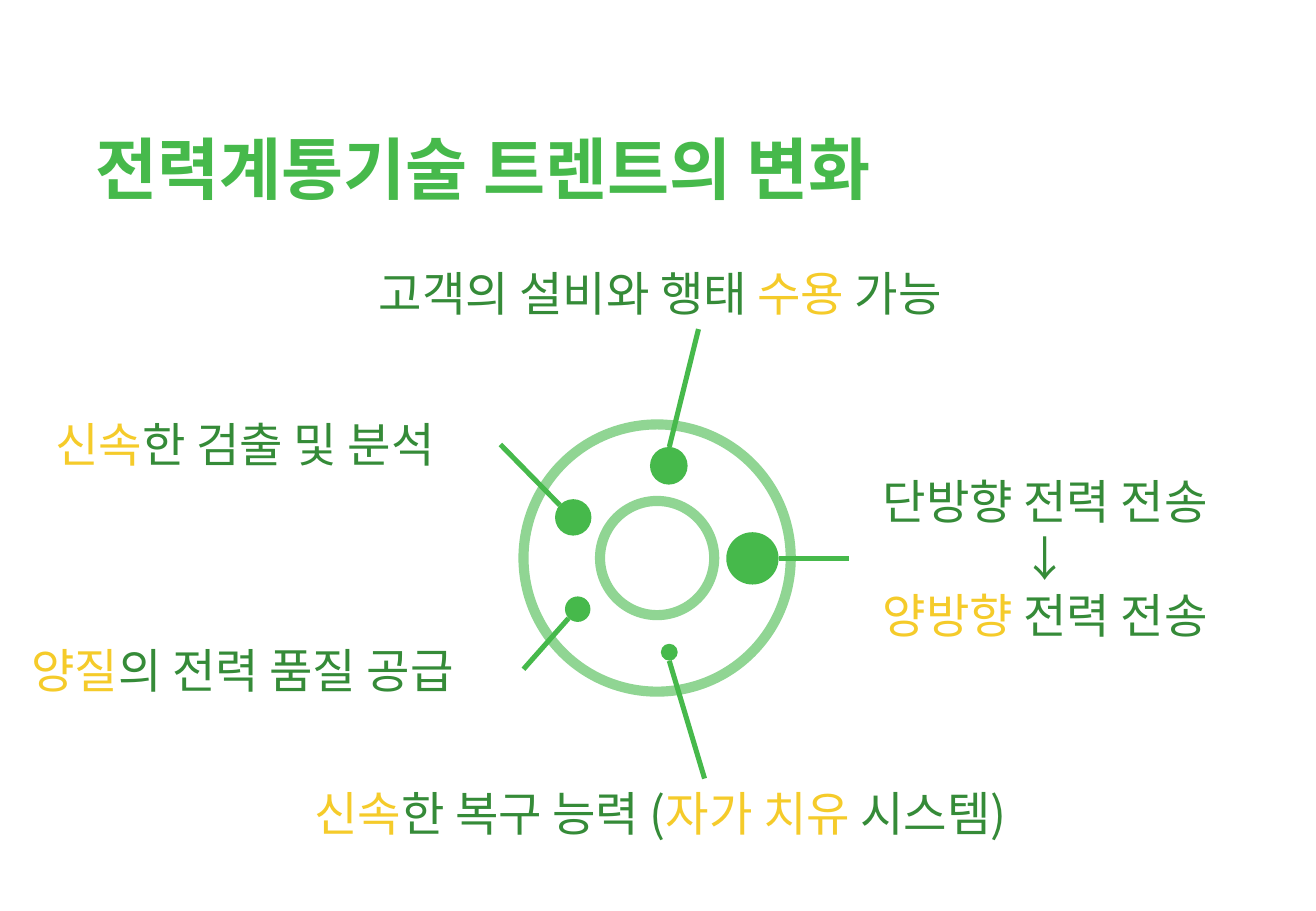
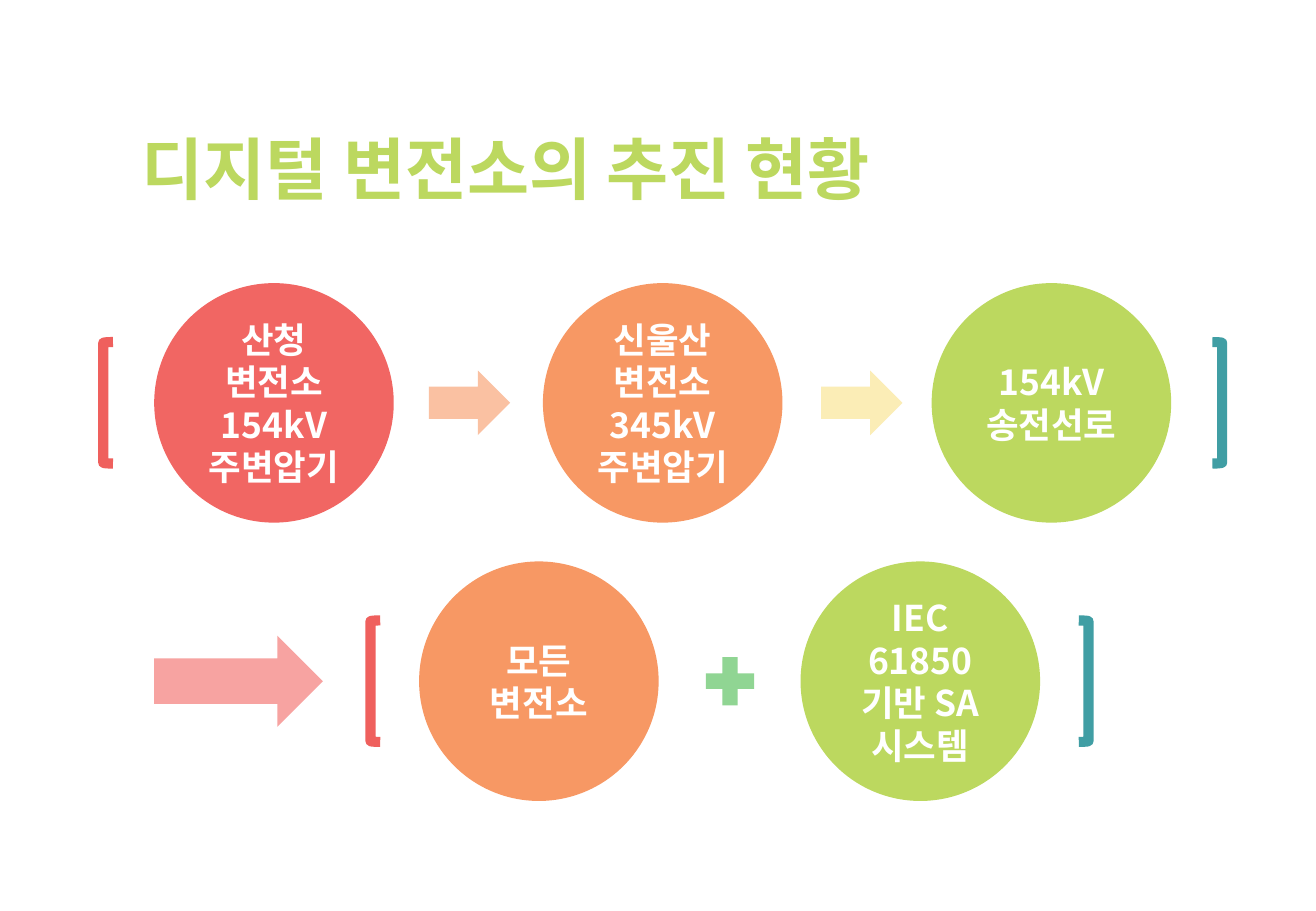
from lxml.etree import SubElement
from pptx import Presentation
from pptx.dml.color import RGBColor
from pptx.enum.shapes import MSO_CONNECTOR, MSO_SHAPE
from pptx.enum.text import MSO_ANCHOR, MSO_AUTO_SIZE, PP_ALIGN
from pptx.oxml.ns import qn
from pptx.util import Pt

FONT = "Noto Sans CJK KR"
GREEN = RGBColor(0x46, 0xB9, 0x4B)
DARK_GREEN = RGBColor(0x35, 0x8B, 0x38)
PALE_GREEN = RGBColor(0x90, 0xD5, 0x93)
YELLOW = RGBColor(0xF5, 0xCB, 0x2A)
LIME = RGBColor(0xBC, 0xD8, 0x5F)
RED = RGBColor(0xF1, 0x66, 0x63)
BRACKET_RED = RGBColor(0xEF, 0x60, 0x5D)
ORANGE = RGBColor(0xF7, 0x98, 0x64)
TEAL = RGBColor(0x40, 0x9E, 0xA4)
PALE_ORANGE = RGBColor(0xFA, 0xC1, 0xA2)
PALE_YELLOW = RGBColor(0xFB, 0xED, 0xB6)
PALE_RED = RGBColor(0xF7, 0xA3, 0xA1)
WHITE = RGBColor(0xFF, 0xFF, 0xFF)

STAGE_SIZE = 142
BRACKET_W, BRACKET_H = 5.76, 72


def fill_text(frame, lines, size, bold=False, align=PP_ALIGN.LEFT):
    """Each line is a list of (text, colour) runs."""
    for index, line in enumerate(lines):
        paragraph = frame.paragraphs[0] if index == 0 else frame.add_paragraph()
        paragraph.alignment = align
        for text, color in line:
            run = paragraph.add_run()
            run.text = text
            run.font.size = Pt(size)
            run.font.bold = bold
            run.font.color.rgb = color
            run.font.name = FONT
            SubElement(run._r.get_or_add_rPr(), qn("a:ea"), typeface=FONT)


def add_label(slide, left, top, width, height, lines, size=28, **style):
    box = slide.shapes.add_textbox(Pt(left), Pt(top), Pt(width), Pt(height))
    box.text_frame.word_wrap = False
    box.text_frame.auto_size = MSO_AUTO_SIZE.SHAPE_TO_FIT_TEXT
    fill_text(box.text_frame, lines, size, **style)


def add_title(slide, left, width, text, color):
    add_label(slide, left, 72, width, 55.4, [[(text, color)]], size=40, bold=True)


def add_figure(shapes, kind, left, center_y, width, height, fill=None, line=None):
    figure = shapes.add_shape(
        kind, Pt(left), Pt(center_y - height / 2), Pt(width), Pt(height))
    figure.shadow.inherit = False
    if fill is None:
        figure.fill.background()
    else:
        figure.fill.solid()
        figure.fill.fore_color.rgb = fill
    if line is None:
        figure.line.fill.background()
    else:
        figure.line.color.rgb = line
        figure.line.width = Pt(6)
    return figure


def add_circle(shapes, center_x, center_y, size, **paint):
    return add_figure(shapes, MSO_SHAPE.OVAL, center_x - size / 2, center_y,
                      size, size, **paint)


def add_pointer(slide, start, end):
    pointer = slide.shapes.add_connector(
        MSO_CONNECTOR.STRAIGHT, *[Pt(value) for value in (*start, *end)])
    pointer.line.color.rgb = GREEN
    pointer.line.width = Pt(3)
    SubElement(pointer._element.spPr, qn("a:effectLst"))


def add_stage(shapes, left, center_y, fill, lines):
    stage = add_circle(shapes, left + STAGE_SIZE / 2, center_y, STAGE_SIZE, fill=fill)
    stage.text_frame.word_wrap = True
    stage.text_frame.vertical_anchor = MSO_ANCHOR.MIDDLE
    fill_text(stage.text_frame, [[(line, WHITE)] for line in lines], 21,
              bold=True, align=PP_ALIGN.CENTER)


def add_bracketed_row(slide, center_y, bracket_lefts, stages, signs):
    row = slide.shapes.add_group_shape().shapes
    kinds = (MSO_SHAPE.LEFT_BRACKET, MSO_SHAPE.RIGHT_BRACKET)
    for kind, left, color in zip(kinds, bracket_lefts, (BRACKET_RED, TEAL)):
        add_figure(row, kind, left, center_y, BRACKET_W, BRACKET_H, line=color)
    for left, fill, lines in stages:
        add_stage(row, left, center_y, fill, lines)
    for kind, left, width, height, fill in signs:
        add_figure(row, kind, left, center_y, width, height, fill=fill)


def build_trends(slide):
    add_title(slide, 49.7, 527.8, "전력계통기술 트렌트의 변화", GREEN)

    # Rings around a common centre
    for size in (158.4, 67.7):
        add_circle(slide.shapes, 389.5, 330.8, size, line=PALE_GREEN)

    # Dots and their pointers: centre, size, pointer start and end
    for center, size, start, end in (
        ((396.4, 276.1), 22.3, (396.7, 265), (414, 195.1)),
        ((339.8, 306.7), 21.6, (331.9, 299.5), (296.6, 263.5)),
        ((342.4, 361.1), 15.1, (337, 366.5), (310.3, 396.7)),
        ((396.7, 386.6), 10, (396.7, 391.7), (417.6, 461.5)),
        ((446, 331), 31, (461.5, 331), (503.3, 331)),
    ):
        add_circle(slide.shapes, *center, size, fill=GREEN)
        add_pointer(slide, start, end)

    # Trend labels
    for left, top, width, runs in (
        (217.4, 153.4, 393.8, [("고객의 설비와 행태 ", DARK_GREEN), ("수용", YELLOW),
                               (" 가능", DARK_GREEN)]),
        (25.9, 242.6, 270.7, [("신속", YELLOW), ("한 검출 및 분석", DARK_GREEN)]),
        (11.5, 376.6, 298.8, [("양질", YELLOW), ("의 전력 품질 공급", DARK_GREEN)]),
        (179.3, 461.5, 477.4, [("신속", YELLOW), ("한 복구 능력 (", DARK_GREEN),
                               ("자가 치유 ", YELLOW), ("시스템)", DARK_GREEN)]),
    ):
        add_label(slide, left, top, width, 41, [runs])
    add_label(slide, 503.3, 276.5, 232.6, 108.7, [
        [("단방향 전력 전송", DARK_GREEN)],
        [("↓", DARK_GREEN)],
        [("양방향", YELLOW), (" 전력 전송", DARK_GREEN)],
    ], align=PP_ALIGN.CENTER)


def build_progress(slide):
    add_title(slide, 77, 490.3, "디지털 변전소의 추진 현황", LIME)

    # Completed steps
    steps = (
        (RED, ["산청", "변전소", "154kV 주변압기"]),
        (ORANGE, ["신울산 변전소", "345kV 주변압기"]),
        (LIME, ["154kV", "송전선로"]),
    )
    add_bracketed_row(
        slide, 238.8, (61.2, 718.6),
        [(91.4 + 230.4 * i, fill, lines) for i, (fill, lines) in enumerate(steps)],
        [(MSO_SHAPE.RIGHT_ARROW, 254.2, 48.2, 38.2, PALE_ORANGE),
         (MSO_SHAPE.RIGHT_ARROW, 486.7, 48.2, 38.2, PALE_YELLOW)])

    # Goal
    goal_y = 403.8
    add_figure(slide.shapes, MSO_SHAPE.RIGHT_ARROW, 91.4, goal_y, 100, 54,
               fill=PALE_RED)
    add_bracketed_row(
        slide, goal_y, (219.6, 639.4),
        [(248.4, ORANGE, ["모든", "변전소"]),
         (474.5, LIME, ["IEC", "61850", "기반 SA시스템"])],
        [(MSO_SHAPE.MATH_PLUS, 413.3, 38.9, 38.9, PALE_GREEN)])


def main():
    deck = Presentation()
    deck.slide_width, deck.slide_height = Pt(780), Pt(540)
    for build in (build_trends, build_progress):
        build(deck.slides.add_slide(deck.slide_layouts[6]))
    deck.save("out.pptx")


if __name__ == "__main__":
    main()
